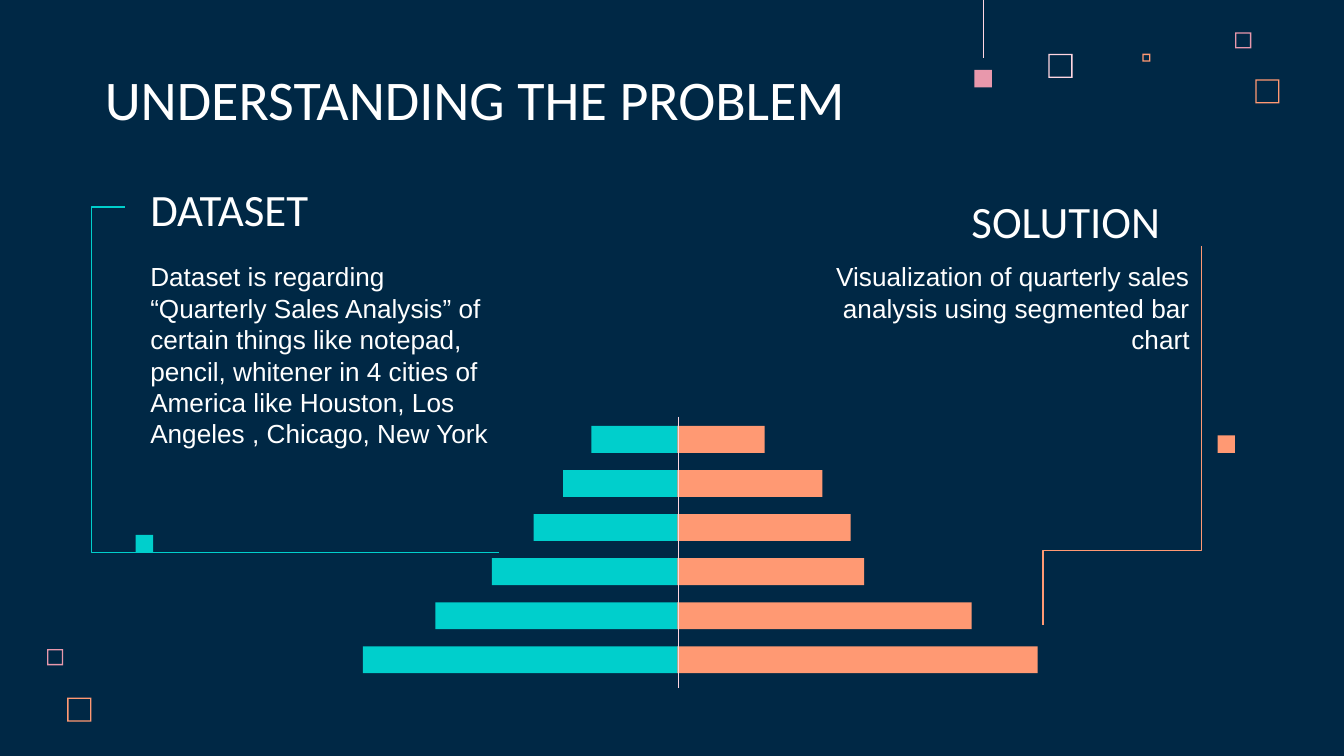
from lxml.etree import SubElement
from pptx import Presentation
from pptx.dml.color import RGBColor
from pptx.enum.shapes import MSO_CONNECTOR, MSO_SHAPE
from pptx.enum.text import MSO_ANCHOR, MSO_AUTO_SIZE, PP_ALIGN
from pptx.oxml.ns import qn
from pptx.util import Inches, Pt

COLORS = {"navy": "002845", "white": "FFFFFF", "teal": "00CFCC",
          "orange": "FF9973", "pink": "E898AC", "blush": "FFD6E1"}

# A 16:9 slide, ten inches wide
prs = Presentation()
prs.slide_width = Inches(10)
prs.slide_height = Inches(10) * 9 // 16
slide = prs.slides.add_slide(prs.slide_layouts[5])
shapes = slide.shapes
slide.background.fill.solid()
slide.background.fill.fore_color.rgb = RGBColor.from_string(COLORS["navy"])


def write(text, box, holder=None, size=14, font="Calibri", align=PP_ALIGN.LEFT,
          anchor=MSO_ANCHOR.BOTTOM):
    left, top, width, height = map(Inches, box)
    holder = holder or shapes.add_textbox(left, top, width, height)
    holder.left, holder.top, holder.width, holder.height = left, top, width, height
    frame = holder.text_frame
    frame.word_wrap = True
    frame.auto_size = MSO_AUTO_SIZE.NONE
    frame.vertical_anchor = anchor
    frame.margin_left = frame.margin_right = Inches(0.1)
    frame.margin_top = frame.margin_bottom = Inches(0.1)
    paragraph = frame.paragraphs[0]
    paragraph.alignment = align
    paragraph.line_spacing = 1.0
    run = paragraph.add_run()
    run.text = text
    run.font.size, run.font.name = Pt(size), font
    run.font.color.rgb = RGBColor.from_string(COLORS["white"])


def draw_line(kind, start, end, color, width=0.75):
    line = shapes.add_connector(kind, *map(Inches, start + end))
    line.line.color.rgb = RGBColor.from_string(COLORS[color])
    line.line.width = Pt(width)
    SubElement(line.element.spPr, qn("a:effectLst"))
    return line


# Hanging thread above the pink square
draw_line(MSO_CONNECTOR.STRAIGHT, (7.32, 0), (7.32, 0.43), "blush", 0.5)

# Title, headings and descriptions
write("UNDERSTANDING THE PROBLEM", (0.68, 0.45, 6.73, 0.63), holder=shapes.title, size=30)
write("DATASET", (1.02, 1.09, 1.97, 0.76), size=24)
write("Dataset is regarding “Quarterly Sales Analysis” of certain things like notepad, "
      "pencil, whitener in 4 cities of America like Houston, Los Angeles , Chicago, New York",
      (1.02, 1.84, 2.83, 1.69), font="Arial", anchor=MSO_ANCHOR.TOP)
write("SOLUTION", (6.91, 1.31, 1.82, 0.63), size=24, align=PP_ALIGN.RIGHT)
write("Visualization of quarterly sales analysis using segmented bar chart",
      (5.96, 1.84, 2.99, 1.22), font="Arial", align=PP_ALIGN.RIGHT, anchor=MSO_ANCHOR.TOP)

# Square frames in the corners and solid accent squares
blocks = []
for left, top, side, color in [(7.8, 0.4, 0.18, "blush"), (9.19, 0.24, 0.12, "pink"),
                               (8.5, 0.4, 0.06, "orange"), (9.34, 0.59, 0.18, "orange"),
                               (0.35, 4.83, 0.12, "pink"), (0.5, 5.19, 0.18, "orange")]:
    blocks.append((MSO_SHAPE.FRAME, left, top, side, side, color))
for left, top, color in [(7.25, 0.52, "pink"), (1.01, 3.98, "teal"), (9.06, 3.24, "orange")]:
    blocks.append((MSO_SHAPE.RECTANGLE, left, top, 0.13, 0.13, color))

# Pyramid bars on both sides of the axis, top to bottom
AXIS, FIRST_TOP, LAST_TOP, BAR_HEIGHT = 5.05, 3.17, 4.81, 0.2
teal_widths = [0.65, 0.86, 1.08, 1.39, 1.81, 2.35]
orange_widths = [0.65, 1.08, 1.29, 1.39, 2.19, 2.68]
pitch = (LAST_TOP - FIRST_TOP) / (len(teal_widths) - 1)
for row, (teal, orange) in enumerate(zip(teal_widths, orange_widths)):
    top = FIRST_TOP + row * pitch
    blocks.append((MSO_SHAPE.RECTANGLE, AXIS - teal, top, teal, BAR_HEIGHT, "teal"))
    blocks.append((MSO_SHAPE.RECTANGLE, AXIS - 0.01, top, orange, BAR_HEIGHT, "orange"))

for preset, left, top, width, height, color in blocks:
    block = shapes.add_shape(preset, Inches(left), Inches(top), Inches(width), Inches(height))
    if preset == MSO_SHAPE.FRAME:
        block.adjustments[0] = 0.01 / width
    block.shadow.inherit = False
    block.fill.solid()
    block.fill.fore_color.rgb = RGBColor.from_string(COLORS[color])
    block.line.fill.background()
draw_line(MSO_CONNECTOR.STRAIGHT, (AXIS, 3.1), (AXIS, 5.12), "blush")

# Elbow brackets: start, end, colour, bend in 1/100000 of the width, rotation in degrees
brackets = [((0.93, 1.54), (3.71, 4.11), "teal", -9000, 0),
            ((6.94, 2.65), (9.76, 3.83), "orange", 80400, 90)]
for start, end, color, bend, rotation in brackets:
    bracket = draw_line(MSO_CONNECTOR.ELBOW, start, end, color)
    properties = bracket.element.spPr
    properties.find(qn("a:xfrm")).set("rot", str(rotation * 60000))
    adjustments = properties.find(qn("a:prstGeom")).find(qn("a:avLst"))
    SubElement(adjustments, qn("a:gd"), name="adj1", fmla=f"val {bend}")

prs.save("out.pptx")
